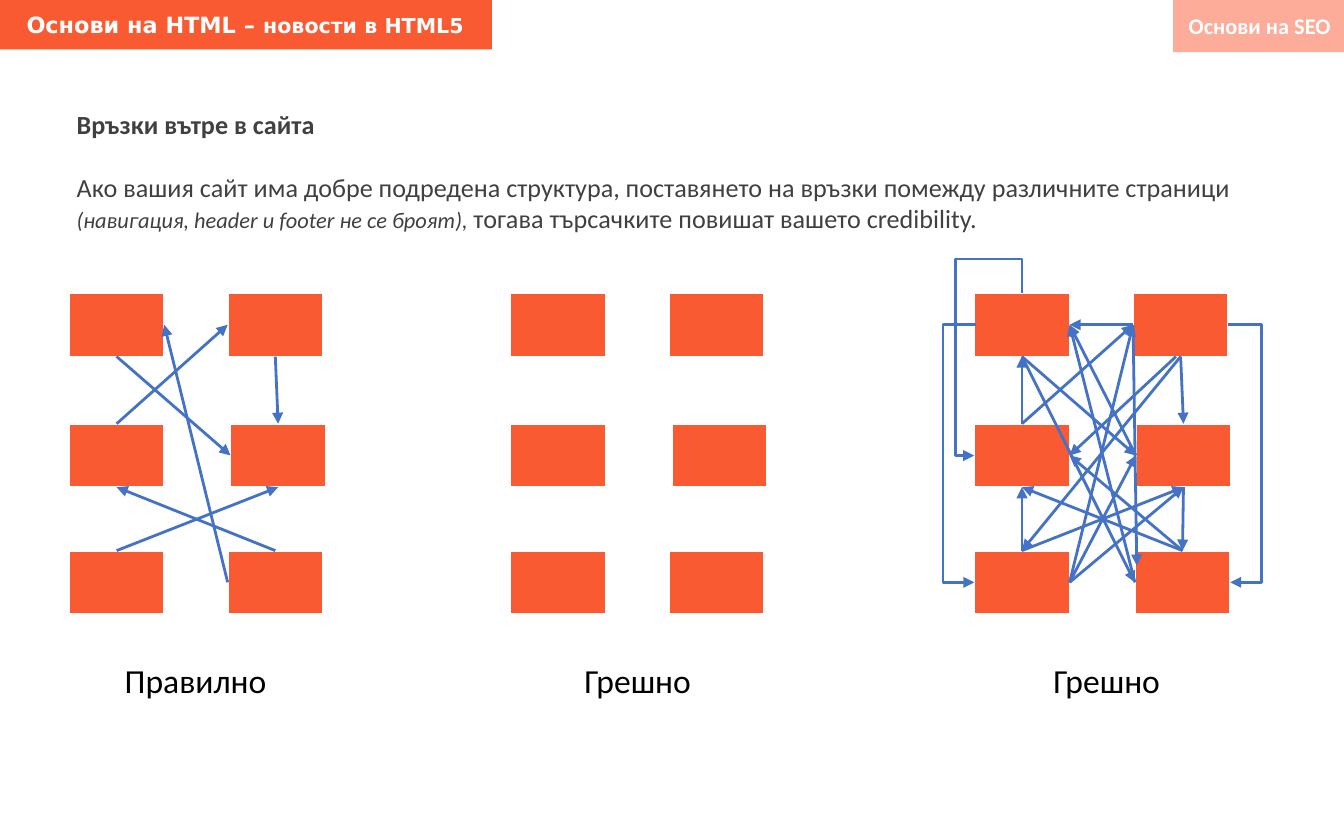
from dataclasses import dataclass

from lxml.etree import SubElement
from pptx import Presentation
from pptx.dml.color import RGBColor
from pptx.enum.shapes import MSO_CONNECTOR, MSO_SHAPE
from pptx.enum.text import MSO_ANCHOR, MSO_AUTO_SIZE, PP_ALIGN
from pptx.oxml.ns import qn
from pptx.util import Pt


@dataclass(frozen=True)
class Theme:
    fill: RGBColor = RGBColor(0xFA, 0x5A, 0x32)
    line: RGBColor = RGBColor(0x44, 0x72, 0xC4)
    white: RGBColor = RGBColor(0xFF, 0xFF, 0xFF)
    black: RGBColor = RGBColor(0, 0, 0)
    grey: RGBColor = RGBColor(0x40, 0x40, 0x40)
    head: str = "DejaVu Sans"
    body: str = "Calibri"
    tiny: float = 11
    small: float = 12
    text: float = 14
    label: float = 18


THEME = Theme()
WIDE, HIGH = 51, 34
ROWS = (157, 227, 295)
SITES = "TLBR"  # top, left, bottom and right of a box

GOOD = "a1B-b2L b1B-b2T b3T-a2B a2T-b1L a3T-b2B b3L-a1R"
EXTRA = ("a3T-a2B a2T-a1B b2B-b3T a1B-b3L b1L-a1R a3R-b2L b1B-a3T "
         "b3T-a2R a3R-b1L b2L-a1R a3R-b2B")
# left edge, offsets of the right column, label, label left, links
SITE_MAPS = (
    (37, (85, 86.5, 85), "Правилно", 59.75, GOOD),
    (273.5, (85, 86.5, 85), "Грешно", 306, ""),
    (522, (85, 86.5, 86), "Грешно", 557.25, f"{GOOD} {EXTRA}"),
)
# link, preset, frame, turn, flips, bend ratios
BENDS = (
    ("a1L-a3L", "bentConnector3", (522, 174, 1, 138), 180, "V", (18,)),
    ("b1R-b3R", "bentConnector3", (658, 174, 1, 138), 0, "", (18,)),
    ("a1T-a2L", "bentConnector4", (491.25, 187.75, 87, 25.5), 270, "HV",
     (-0.21, 1.39)),
)


def place(shape, frame):
    shape.left, shape.top, shape.width, shape.height = map(Pt, frame)


def rect(slide, frame, edge=None, alpha=None):
    shape = slide.shapes.add_shape(MSO_SHAPE.RECTANGLE, *map(Pt, frame))
    shape.shadow.inherit = False
    shape.fill.solid()
    shape.fill.fore_color.rgb = THEME.fill
    if alpha:
        tint = shape.fill._xPr.find(".//" + qn("a:srgbClr"))
        SubElement(tint, qn("a:alpha"), val=str(alpha * 1000))
    if edge:
        shape.line.color.rgb = edge
        shape.line.width = Pt(1)
    else:
        shape.line.fill.background()
    return shape


def style(run, size, color, face=THEME.body, bold=False, slant=False):
    font = run.font
    font.size, font.name, font.bold, font.italic = Pt(size), face, bold, slant
    font.color.rgb = color


def write(para, *parts):
    """Fill a paragraph with (text, size, colour, ...) parts."""
    for text, *look in parts:
        run = para.add_run()
        run.text = text
        style(run, *look)


def note(slide, frame, *parts, wrap=False):
    box = slide.shapes.add_textbox(*map(Pt, frame))
    box.text_frame.word_wrap = wrap
    box.text_frame.auto_size = MSO_AUTO_SIZE.SHAPE_TO_FIT_TEXT
    para = box.text_frame.paragraphs[0]
    write(para, *parts)
    return para


def header(slide):
    title = slide.shapes.title
    bar = rect(slide, (0, -1.5, 263.5, 28))
    title._element.addprevious(bar._element)
    place(title, (7, 2, 274, 22))
    frame = title.text_frame
    frame.vertical_anchor = MSO_ANCHOR.MIDDLE
    para = frame.paragraphs[0]
    para.alignment = PP_ALIGN.LEFT
    look = (THEME.white, THEME.head, True)
    write(para, ("Основи на HTML – ", THEME.small, *look),
          ("новости в HTML5", THEME.tiny, *look))
    rect(slide, (628.5, 0, 91.5, 28), alpha=50)
    para = note(slide, (628.5, 3, 91.5, 22),
                ("Основи на SEO", THEME.small, THEME.white, THEME.body, True))
    para.alignment = PP_ALIGN.RIGHT


def intro(slide):
    grey, face = THEME.grey, THEME.body
    para = note(slide, (34, 54.5, 660, 75),
                ("Връзки вътре в сайта", THEME.text, grey, face, True), wrap=True)
    para = para._parent.add_paragraph()
    para.space_before = Pt(17)
    write(para,
          ("Ако вашия сайт има добре подредена структура, поставянето на "
           "връзки помежду различните страници ", THEME.text, grey),
          ("(навигация, header и footer не се броят), ",
           THEME.small, grey, face, False, True),
          ("тогава търсачките повишат вашето credibility.", THEME.text, grey))


def pages(slide, left, shifts):
    """Draw the six boxes and return them by name, a1 to b3."""
    boxes = {}
    for row, (top, shift) in enumerate(zip(ROWS, shifts), 1):
        for col, x in (("a", left), ("b", left + shift)):
            boxes[f"{col}{row}"] = rect(slide, (x, top, WIDE, HIGH), THEME.white)
    return boxes


def arrow(slide, points=(0, 0, 0, 0), kind=MSO_CONNECTOR.STRAIGHT):
    line = slide.shapes.add_connector(kind, *map(Pt, points))
    line.line.color.rgb = THEME.line
    line.line.width = Pt(1.5)
    SubElement(line.line._get_or_add_ln(), qn("a:tailEnd"), type="triangle")
    SubElement(line._element.spPr, qn("a:effectLst"))
    return line


def link(line, boxes, code):
    """Join two boxes; "a1B-b2L" runs from the bottom of a1 to the left of b2."""
    start, stop = code.split("-")
    line.begin_connect(boxes[start[:2]], SITES.index(start[2]))
    line.end_connect(boxes[stop[:2]], SITES.index(stop[2]))


def bend(slide, boxes, code, preset, frame, turn, flips, ratios):
    line = arrow(slide, kind=MSO_CONNECTOR.ELBOW)
    link(line, boxes, code)
    place(line, frame)
    props = line._element.spPr
    form = props.find(qn("a:xfrm"))
    form.set("rot", str(turn * 60000))
    for axis in "HV":
        form.set(f"flip{axis}", str(int(axis in flips)))
    geom = props.find(qn("a:prstGeom"))
    geom.set("prst", preset)
    guides = geom.find(qn("a:avLst"))
    for num, ratio in enumerate(ratios, 1):
        SubElement(guides, qn("a:gd"), name=f"adj{num}",
                   fmla=f"val {round(ratio * 100000)}")


def main():
    deck = Presentation()
    deck.slide_width, deck.slide_height = Pt(720), Pt(450)
    slide = deck.slides.add_slide(deck.slide_layouts[5])
    header(slide)
    intro(slide)
    for left, shifts, label, x, links in SITE_MAPS:
        boxes = pages(slide, left, shifts)
        for code in links.split():
            link(arrow(slide), boxes, code)
        width = 91.5 if label == "Правилно" else 72
        note(slide, (x, 350, width, 29), (label, THEME.label, THEME.black))
    for item in BENDS:
        bend(slide, boxes, *item)
    arrow(slide, (630, 191, 573, 244))
    arrow(slide, (607, 174, 609, 303))
    deck.save("out.pptx")


if __name__ == "__main__":
    main()
